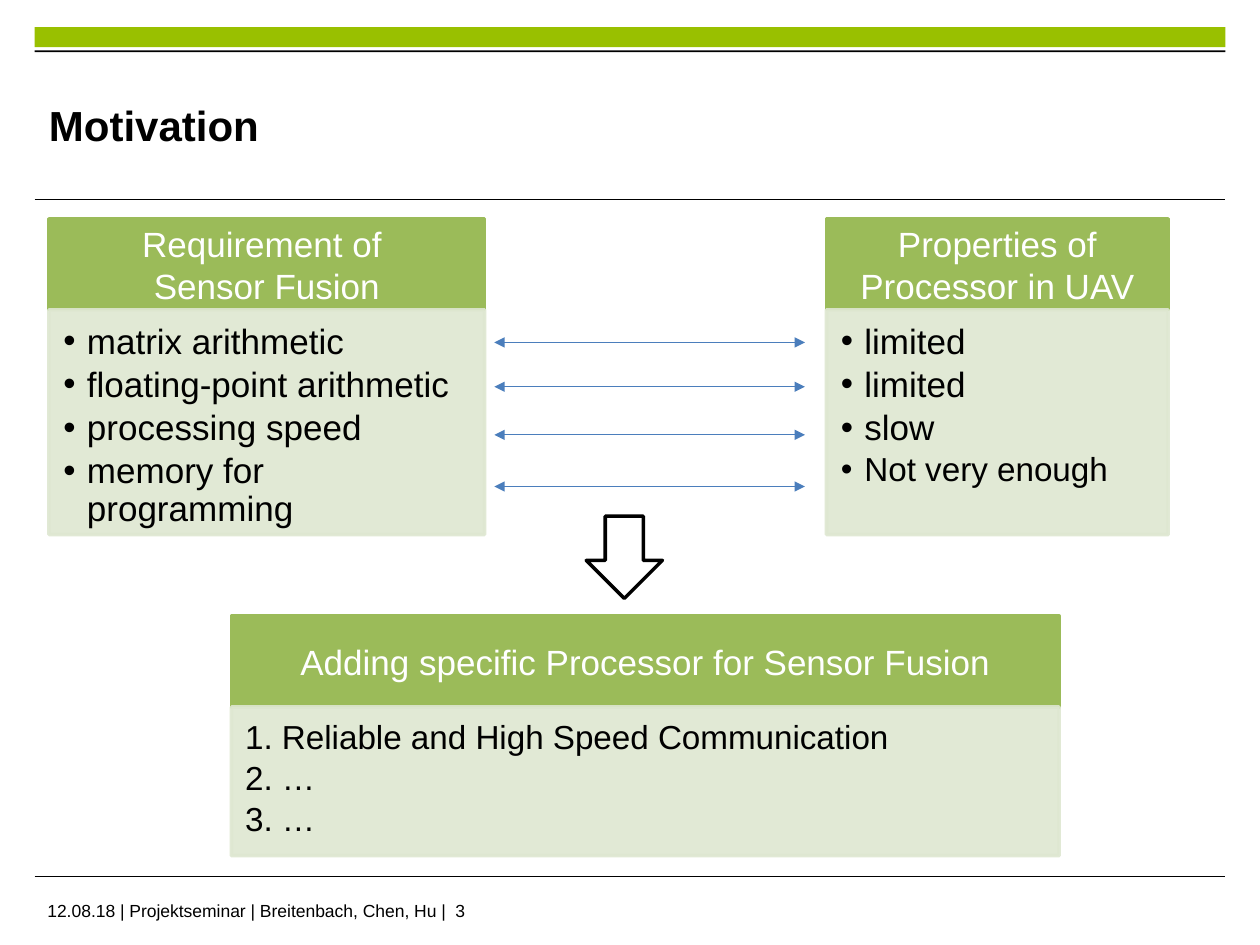
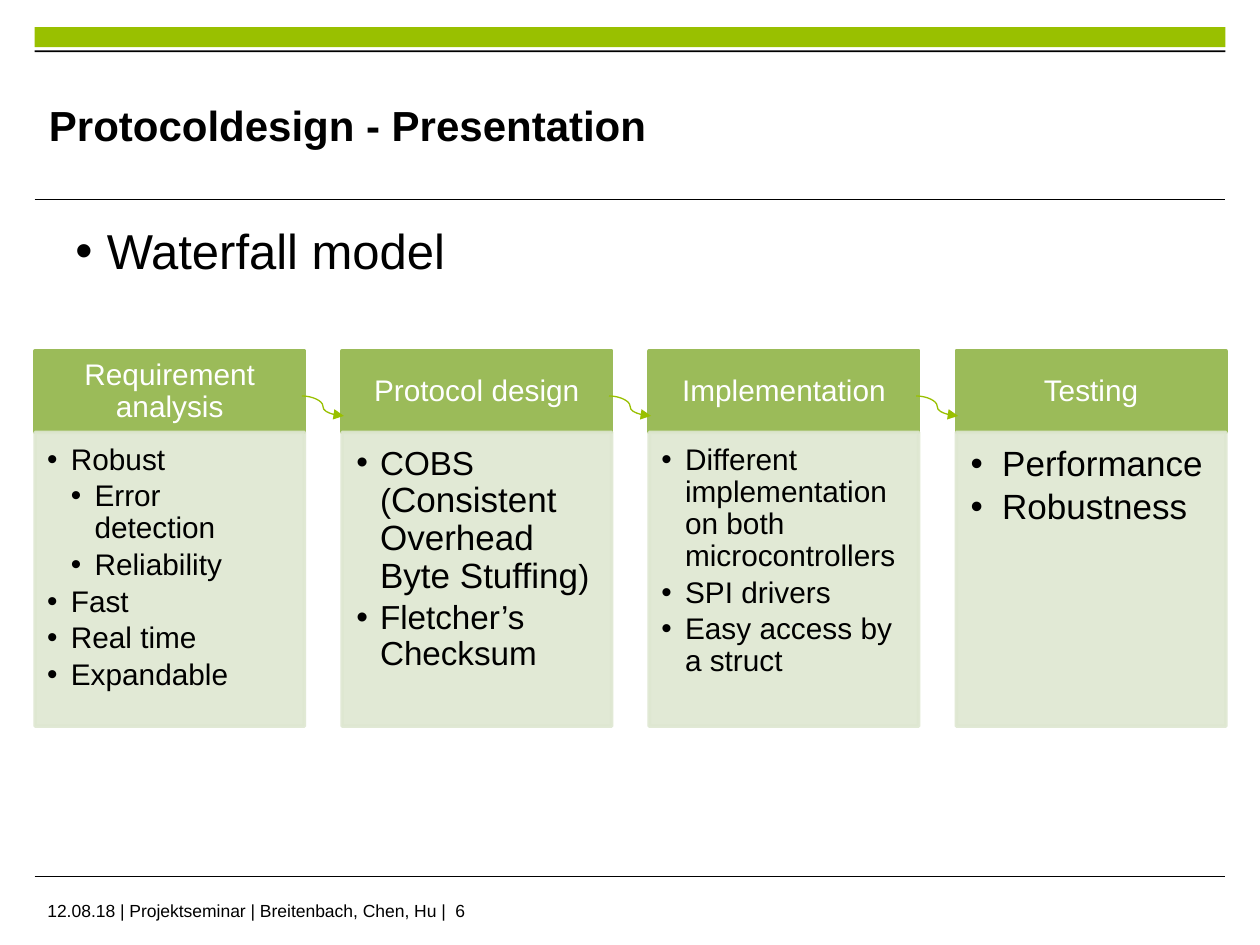
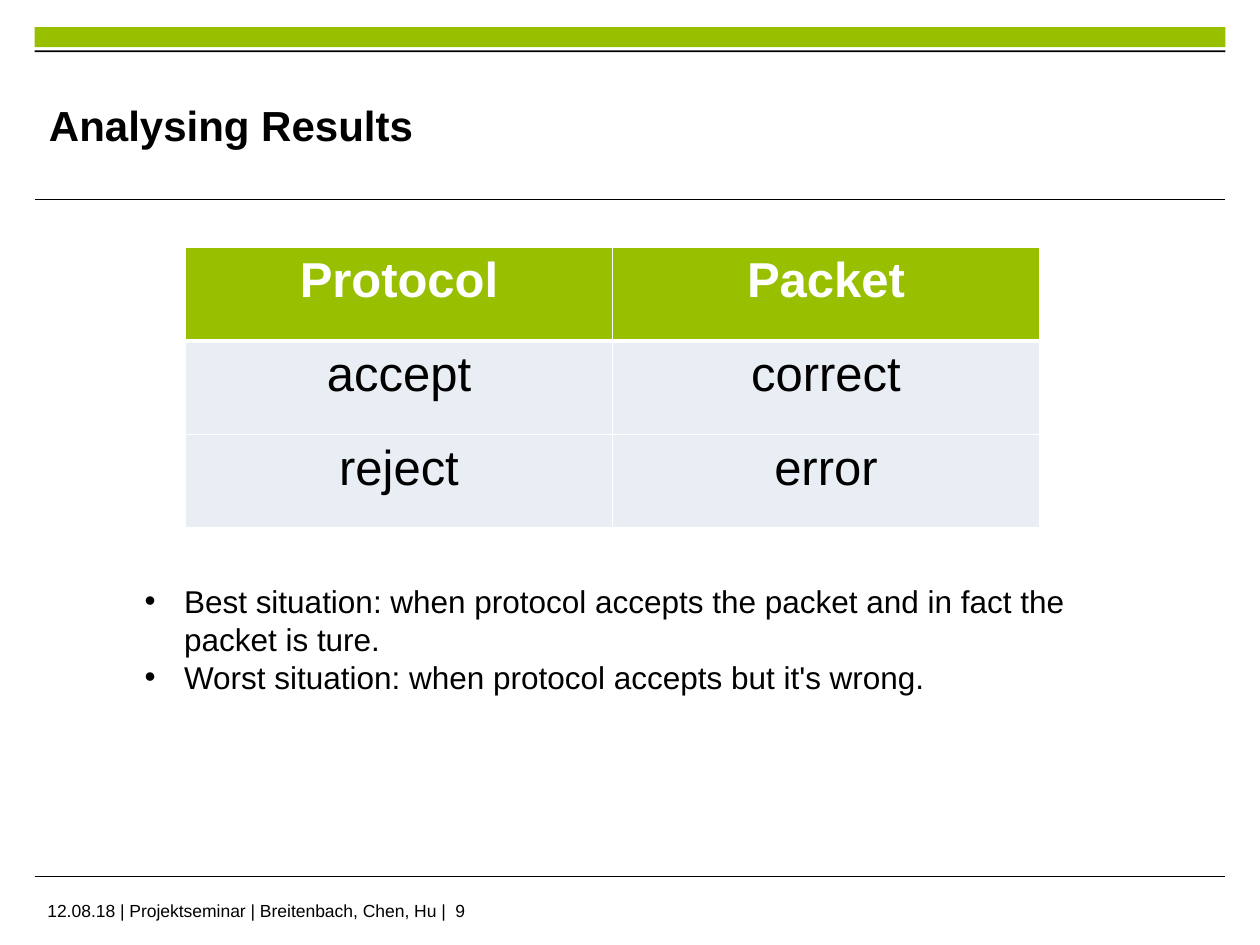
import collections

import lxml.etree
import pptx
import pptx.dml.color
import pptx.enum.shapes
import pptx.enum.text
import pptx.oxml.ns
import pptx.util

Pt = pptx.util.Pt
qn = pptx.oxml.ns.qn
SHAPE = pptx.enum.shapes.MSO_SHAPE
CONNECTOR = pptx.enum.shapes.MSO_CONNECTOR
ALIGN = pptx.enum.text.PP_ALIGN
ANCHOR = pptx.enum.text.MSO_ANCHOR

# Shared look
FONT = "Arial"
BLACK, WHITE = "000000", "FFFFFF"
LIME, HEADER_GREEN, BODY_GREEN = "99C000", "9BBB59", "DEE7D1"
ARROW_BLUE, CELL_BLUE = "4B7EBC", "E9EDF4"
LEFT, WIDTH = 19.8, 680.4
INDENT = 13.5
FOOTER = "12.08.18 | Projektseminar | Breitenbach, Chen, Hu |  {}"

# One list entry: a string, or (text, size) runs where sizes differ
Item = collections.namedtuple("Item", "content level", defaults=[1])


def rgb(hex_code):
    return pptx.dml.color.RGBColor.from_string(hex_code)


def add_xml(parent, tag, **attributes):
    return lxml.etree.SubElement(parent, qn(tag), **attributes)


# Text
def set_frame(frame, insets, anchor=ANCHOR.TOP):
    frame.word_wrap = True
    frame.vertical_anchor = anchor
    (frame.margin_left, frame.margin_top,
     frame.margin_right, frame.margin_bottom) = [Pt(inset) for inset in insets]


def write(frame, items, size, color=BLACK, bold=False, align=ALIGN.LEFT,
          indent=0, spacing=None, before=None, after=None):
    """Write one paragraph per item; an indent makes it a bullet."""
    for index, item in enumerate(items):
        paragraph = frame.paragraphs[0] if index == 0 else frame.add_paragraph()
        content, level = item if isinstance(item, Item) else (item, 1)
        if indent:
            properties = paragraph._p.get_or_add_pPr()
            properties.set("marL", str(Pt(indent * level)))
            properties.set("indent", str(-Pt(indent)))
            add_xml(properties, "a:buFont", typeface=FONT)
            add_xml(properties, "a:buChar", char="•")
        paragraph.alignment = align
        if spacing:
            paragraph.line_spacing = spacing
        if before is not None:
            paragraph.space_before = Pt(before)
        if after is not None:
            paragraph.space_after = Pt(after)
        font = paragraph.font
        font.name, font.size, font.bold = FONT, Pt(size), bold
        font.color.rgb = rgb(color)
        if isinstance(content, str):
            paragraph.add_run().text = content
        else:
            for text, run_size in content:
                run = paragraph.add_run()
                run.text = text
                run.font.size = Pt(run_size)


def add_text(slide, x, y, width, height, items, size,
             insets=(7.2, 3.6, 7.2, 3.6), anchor=ANCHOR.TOP, **style):
    box = slide.shapes.add_textbox(Pt(x), Pt(y), Pt(width), Pt(height))
    set_frame(box.text_frame, insets, anchor)
    write(box.text_frame, items, size, **style)


# Shapes and lines
def add_block(slide, x, y, width, height, fill, line=None,
              kind=SHAPE.RECTANGLE):
    block = slide.shapes.add_shape(kind, Pt(x), Pt(y), Pt(width), Pt(height))
    block.shadow.inherit = False
    block.fill.solid()
    block.fill.fore_color.rgb = rgb(fill)
    if line:
        block.line.color.rgb = rgb(line)
        block.line.width = Pt(2)
    else:
        block.line.fill.background()
    return block


def add_line(slide, start, end, color, width, arrows=(),
             kind=CONNECTOR.STRAIGHT):
    line = slide.shapes.add_connector(kind, *[Pt(v) for v in (*start, *end)])
    line.line.color.rgb = rgb(color)
    line.line.width = Pt(width)
    for arrow in arrows:
        add_xml(line.line._get_or_add_ln(), arrow, type="triangle")
    add_xml(line._element.spPr, "a:effectLst")


def add_card(slide, x, y, width, header_height, body_height, header, items,
             header_size=20, body_size=20, header_spacing=None, indent=INDENT):
    """A green header with a pale list right below it."""
    top = add_block(slide, x, y, width, header_height,
                    HEADER_GREEN, HEADER_GREEN)
    side = 0.55 * header_size
    set_frame(top.text_frame, (side, 5.8, side, 5.8), ANCHOR.MIDDLE)
    write(top.text_frame, header, header_size, WHITE, align=ALIGN.CENTER,
          spacing=header_spacing)

    body = add_block(slide, x, y + header_height, width, body_height,
                     BODY_GREEN, BODY_GREEN)
    for color in body._element.spPr.iter(qn("a:srgbClr")):
        add_xml(color, "a:alpha", val="90000")
    set_frame(body.text_frame,
              [ratio * body_size for ratio in (0.41, 0.41, 0.55, 0.6)])
    write(body.text_frame, items, body_size, indent=indent, spacing=0.9,
          after=0.15 * body_size)


# Table
def add_border(cell, side, width):
    line = lxml.etree.Element(qn("a:ln" + side), w=str(Pt(width)))
    add_xml(add_xml(line, "a:solidFill"), "a:srgbClr", val=WHITE)
    return line


def add_grid(slide, x, y, column_width, row_height, rows):
    columns = len(rows[0])
    table = slide.shapes.add_table(
        len(rows), columns, Pt(x), Pt(y), Pt(column_width * columns),
        Pt(row_height * len(rows))).table
    table.horz_banding = False
    for row, texts in enumerate(rows):
        table.rows[row].height = Pt(row_height)
        is_head = row == 0
        for column, text in enumerate(texts):
            cell = table.cell(row, column)
            cell.fill.solid()
            cell.fill.fore_color.rgb = rgb(LIME if is_head else CELL_BLUE)
            write(cell.text_frame, [text], 28, WHITE if is_head else BLACK,
                  bold=is_head, align=ALIGN.CENTER)
            widths = {"L": 1, "R": 1, "T": 3 if row == 1 else 1,
                      "B": 3 if is_head else 1}
            for place, (side, width) in enumerate(widths.items()):
                cell._tc.get_or_add_tcPr().insert(
                    place, add_border(cell, side, width))


# Slides
def add_slide(deck, title, number):
    """A blank slide with the bands, rules, footer and title."""
    slide = deck.slides.add_slide(deck.slide_layouts[6])
    add_block(slide, LEFT, 15.5, WIDTH, 11.5, LIME)
    add_block(slide, LEFT, 28.8, WIDTH, 1, BLACK)
    for y in (114.2, 500.6):
        add_line(slide, (LEFT, y), (LEFT + WIDTH, y), BLACK, 0.6)
    add_text(slide, 20, 511, 584, 18, [FOOTER.format(number)], 10)
    add_text(slide, 28, 38, 523, 66.5, [title], 24, insets=(0, 0, 0, 0),
             anchor=ANCHOR.MIDDLE, bold=True)
    return slide


def add_motivation(deck):
    slide = add_slide(deck, "Motivation", 3)
    add_block(slide, 335, 295, 43.5, 47, WHITE, BLACK, SHAPE.DOWN_ARROW)
    for y in (195.7, 221, 248.5, 278):
        add_line(slide, (282.5, y), (460, y), ARROW_BLUE, 0.75,
                 ("a:headEnd", "a:tailEnd"))
    add_card(slide, 132.3, 352, 473, 52, 85,
             ["Adding specific Processor for Sensor Fusion"],
             ["1. Reliable and High Speed Communication", "2. …", "3. …"],
             body_size=19, indent=0)
    add_card(slide, 28, 125, 249, 52, 128.5,
             ["Requirement of ", "Sensor Fusion"],
             ["matrix arithmetic", "floating-point arithmetic",
              "processing speed", "memory for programming"])
    add_card(slide, 472.3, 125, 195.3, 52, 128.5,
             ["Properties of Processor in UAV"],
             ["limited", "limited", "slow", Item([("Not very enough", 19)])])


def add_waterfall(deck):
    slide = add_slide(deck, "Protocoldesign - Presentation", 6)
    add_text(slide, 36, 126, 648, 313, ["Waterfall model"], 28, indent=18,
             spacing=0.9, before=10)
    # Phase, list size, list indent, list
    phases = [
        ("Requirement analysis", 17, INDENT,
         ["Robust", Item("Error detection", 2), Item("Reliability", 2),
          "Fast", "Real time", "Expandable"]),
        ("Protocol design", 20, INDENT,
         [Item([("COBS (", 19), ("Consistent Overhead Byte Stuffing", 20),
                (")", 19)]),
          Item([("Fletcher’s Checksum", 19)])]),
        ("Implementation", 17, INDENT,
         ["Different implementation on both microcontrollers",
          "SPI drivers", "Easy access by a struct"]),
        ("Testing", 20, 18, ["Performance", "Robustness"]),
    ]
    width, pitch = 154, 175.5
    lefts = [20 + pitch * index for index in range(len(phases))]
    for x, (phase, size, indent, items) in zip(lefts, phases):
        add_card(slide, x, 200.5, width, 46.5, 168, [phase], items,
                 header_size=17, body_size=size, header_spacing=0.9,
                 indent=indent)
    for x in lefts[:-1]:
        add_line(slide, (x + width - 1.5, 226.3), (x + pitch + 1, 237.7),
                 LIME, 0.75, ("a:tailEnd",), CONNECTOR.CURVE)


def add_results(deck):
    slide = add_slide(deck, "Analysing Results", 9)
    add_grid(slide, 106, 141.3, 244, 53.5,
             [("Protocol", "Packet"), ("accept", "correct"),
              ("reject", "error")])
    add_text(slide, 75.6, 329, 540, 73,
             ["Best situation: when protocol accepts the packet and in fact "
              "the packet is ture.",
              "Worst situation: when protocol accepts but it's wrong."],
             18, indent=22.5)


def main():
    deck = pptx.Presentation()
    deck.slide_width, deck.slide_height = Pt(720), Pt(540)
    add_motivation(deck)
    add_waterfall(deck)
    add_results(deck)
    deck.save("out.pptx")


main()
